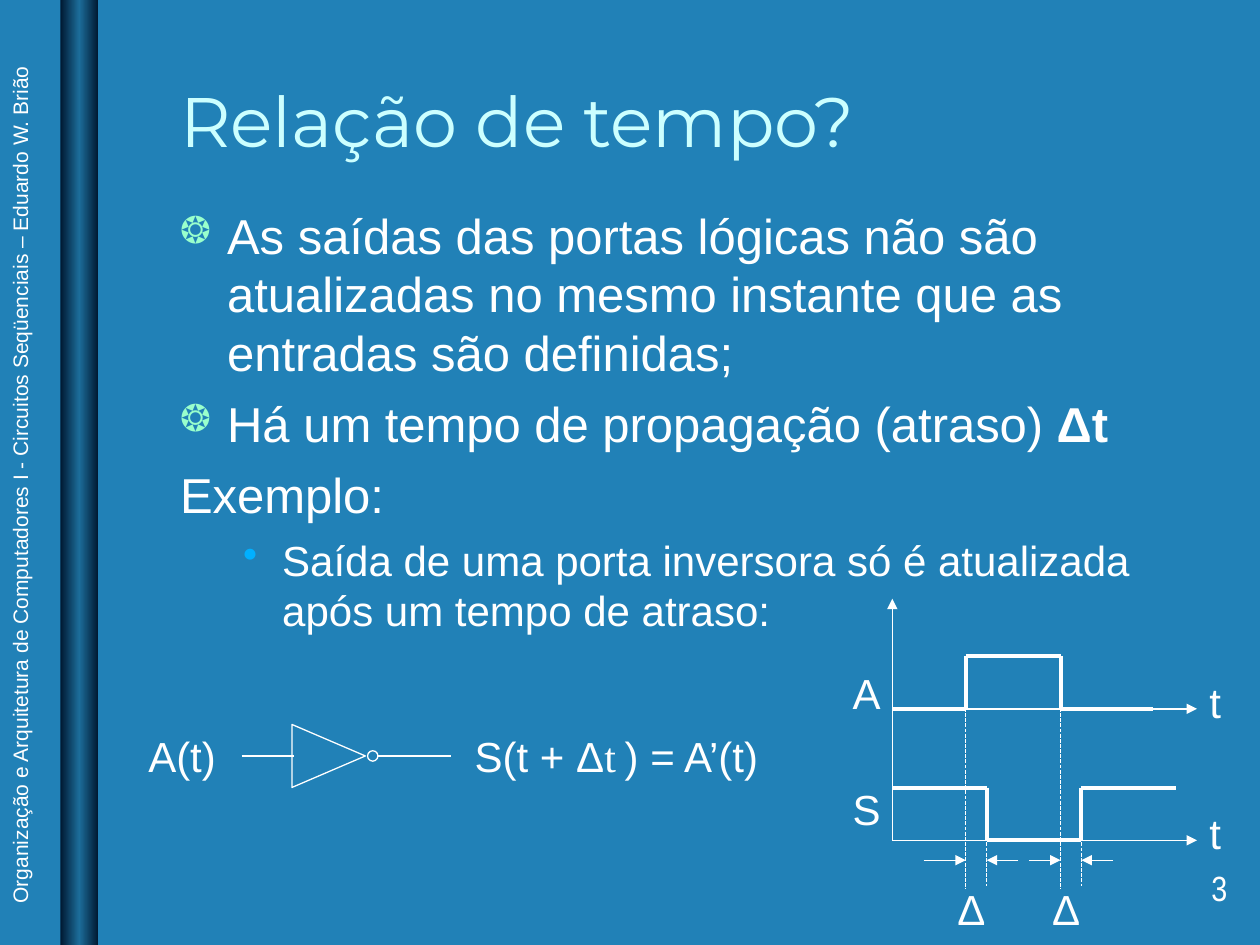
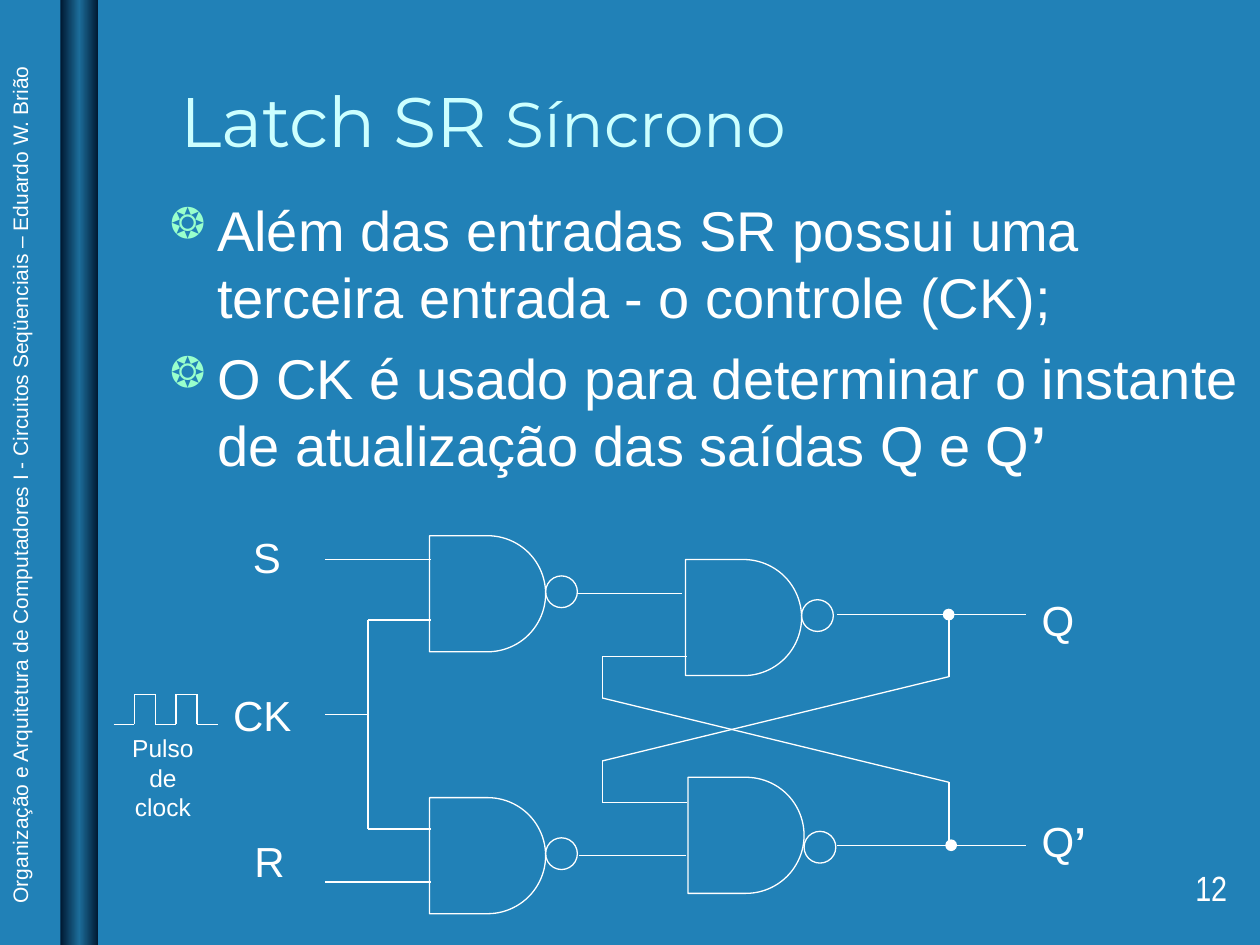
from copy import deepcopy
from itertools import pairwise

from lxml.etree import SubElement
from pptx import Presentation
from pptx.dml.color import RGBColor
from pptx.enum.dml import MSO_LINE
from pptx.enum.shapes import MSO_CONNECTOR, MSO_SHAPE
from pptx.enum.text import MSO_ANCHOR, PP_ALIGN
from pptx.oxml.ns import qn
from pptx.util import Cm, Pt

COLORS = {
    "background": "2181B7",
    "band_edge": "001932",
    "band_middle": "1C6D9A",
    "title": "CCFFFF",
    "text": "FFFFFF",
    "bullet": "99FFCC",
    "sub_bullet": "01B0FF",
}
COURSE = ("Organização e Arquitetura de Computadores I - "
          "Circuitos Seqüenciais – Eduardo W. Brião")
THIN, THICK = 0.75, 2.25
GATE, BUBBLE, DOT = 2.34, 0.64, 0.21


def rgb(name):
    return RGBColor.from_string(COLORS[name])


def write(paragraph, spans, size, color="text", font="Arial"):
    """Fill a paragraph; each span is a string or (string, settings that differ)."""
    for span in [spans] if isinstance(spans, str) else spans:
        words, changes = (span, {}) if isinstance(span, str) else span
        run = paragraph.add_run()
        run.text = words
        run.font.name = changes.get("font", font)
        run.font.size = Pt(changes.get("size", size))
        run.font.bold = changes.get("bold", False)
        run.font.color.rgb = rgb(color)


def add_box(page, left, top, width, height=1.27, wrap=True):
    box = page.shapes.add_textbox(Cm(left), Cm(top), Cm(width), Cm(height))
    box.text_frame.word_wrap = wrap
    return box


def add_label(page, spans, left, top, width, wrap=True, size=24):
    box = add_box(page, left, top, width, wrap=wrap)
    write(box.text_frame.paragraphs[0], spans, size)


def add_shape(page, kind, left, top, width, height, fill=None):
    shape = page.shapes.add_shape(kind, Cm(left), Cm(top), Cm(width), Cm(height))
    shape.shadow.inherit = False
    if fill:
        shape.fill.solid()
        shape.fill.fore_color.rgb = rgb(fill)
    else:
        shape.fill.background()
    shape.line.color.rgb = rgb("text")
    shape.line.width = Pt(THIN)
    return shape


def add_circle(page, left, top, size, fill=None):
    add_shape(page, MSO_SHAPE.OVAL, left, top, size, size, fill)


def add_wire(page, *points, width=THIN, dash=None, arrow=False):
    """Join the points one after another with straight lines."""
    for start, end in pairwise(points):
        line = page.shapes.add_connector(
            MSO_CONNECTOR.STRAIGHT, *map(Cm, start), *map(Cm, end))
        line.line.color.rgb = rgb("text")
        line.line.width = Pt(width)
        if dash:
            line.line.dash_style = dash
        if arrow:
            SubElement(line.line._get_or_add_ln(), qn("a:tailEnd"), type="triangle")
        SubElement(line._element.spPr, qn("a:effectLst"))


def add_nand(page, left, top, bubble_drop=0.81):
    add_shape(page, MSO_SHAPE.FLOWCHART_DELAY, left, top, GATE, GATE)
    add_circle(page, left + GATE, top + bubble_drop, BUBBLE)


def add_band(page, deck):
    band = add_shape(page, MSO_SHAPE.RECTANGLE, 1.22, 0, 0.76, 19.05)
    band.height = deck.slide_height
    band.line.fill.background()
    band.fill.gradient()
    band.fill.gradient_angle = 0
    stop_list = band._element.spPr.find(".//" + qn("a:gsLst"))
    stop_list.append(deepcopy(stop_list[0]))
    names = ("band_edge", "band_middle", "band_edge")
    for stop, name, position in zip(band.fill.gradient_stops, names, (0, 0.5, 1)):
        stop.color.rgb = rgb(name)
        stop.position = position


def add_page(deck, title, number):
    page = deck.slides.add_slide(deck.slide_layouts[6])
    page.background.fill.solid()
    page.background.fill.fore_color.rgb = rgb("background")
    add_band(page, deck)

    course = add_box(page, -8.31, 9.37, 17.42, 0.76, wrap=False)
    course.rotation = 270
    write(course.text_frame.paragraphs[0], COURSE, 12)

    heading = add_box(page, 3.38, 0.2, 21.59, 3.18)
    heading.text_frame.vertical_anchor = MSO_ANCHOR.BOTTOM
    write(heading.text_frame.paragraphs[0], title, 40, "title", "Montserrat")

    corner = add_box(page, 19.71, 17.35, 5.28).text_frame.paragraphs[0]
    corner.alignment = PP_ALIGN.RIGHT
    write(corner, str(number), 20, font="Arial Narrow")
    return page


def set_bullet(paragraph, symbol, color, percent, margin, hang):
    """Set the hanging indent and, when there is a symbol, its bullet."""
    properties = paragraph._p.get_or_add_pPr()
    properties.set("marL", str(Cm(margin)))
    properties.set("indent", str(-Cm(hang)))
    if not symbol:
        SubElement(properties, qn("a:buNone"))
        return
    tint = SubElement(properties, qn("a:buClr"))
    SubElement(tint, qn("a:srgbClr"), val=COLORS[color])
    SubElement(properties, qn("a:buSzPct"), val=str(percent * 1000))
    SubElement(properties, qn("a:buChar"), char=symbol)


def add_body(page, items, size, space, left, top, width, height):
    """Write items given as (style, spans), style being main, plain or sub."""
    styles = {
        "main": ("❂", "bullet", 75, 0.95, 0.95),
        "plain": (None, None, None, 0.95, 0.95),
        "sub": ("•", "sub_bullet", 100, 2.06, 0.79),
    }
    frame = add_box(page, left, top, width, height).text_frame
    for index, (style, spans) in enumerate(items):
        paragraph = frame.add_paragraph() if index else frame.paragraphs[0]
        is_sub = style == "sub"
        if index:
            paragraph.space_before = Pt(space - 1 if is_sub else space)
        paragraph.level = 1 if is_sub else 0
        set_bullet(paragraph, *styles[style])
        write(paragraph, spans, 24 if is_sub else size)


def add_inverter(page):
    middle = 15.24
    add_label(page, "A(t)", 2.74, 14.6, 2.34)
    add_wire(page, (4.87, middle), (5.93, middle))
    triangle = add_shape(page, MSO_SHAPE.ISOSCELES_TRIANGLE, 5.99, 14.5, 1.27, 1.48)
    triangle.rotation = 90
    add_circle(page, 7.41, middle - DOT / 2, DOT)
    add_wire(page, (7.62, middle), (9.1, middle))
    formula = ["S(t + Δ", ("t", {"font": "Times New Roman"}),
               (" ", {"font": "Times New Roman", "size": 20}), ") = A’(t)"]
    add_label(page, formula, 9.32, 14.6, 6.78)


def add_timing_chart(page):
    origin, axis_end = 17.99, 24.13
    input_low, input_high = 14.29, 13.23
    output_low, output_high = 16.94, 15.88
    rise, fall, delay = 19.47, 21.38, 0.42

    add_wire(page, (origin, output_low), (origin, 12.07), arrow=True)
    for name, low, name_top in (("A", input_low, 13.34), ("S", output_low, 15.67)):
        add_wire(page, (origin, low), (axis_end, low), arrow=True)
        add_label(page, name, 16.94, name_top, 0.84)
        add_label(page, "t", axis_end, low - 0.78, 0.84)

    add_wire(page, (origin, input_low), (rise, input_low), (rise, input_high),
             (fall, input_high), (fall, input_low), (23.24, input_low), width=THICK)
    add_wire(page, (origin, output_high), (rise + delay, output_high),
             (rise + delay, output_low), (fall + delay, output_low),
             (fall + delay, output_high), (23.7, output_high), width=THICK)

    for edge, arrow_length in ((rise, 0.85), (fall, 0.64)):
        settled = edge + delay
        add_wire(page, (edge, input_high), (edge, 17.93), dash=MSO_LINE.SQUARE_DOT)
        add_wire(page, (settled, 16.15), (settled, 17.86), dash=MSO_LINE.SQUARE_DOT)
        add_wire(page, (edge - arrow_length, 17.34), (edge, 17.34), arrow=True)
        add_wire(page, (settled + 0.64, 17.34), (settled, 17.34), arrow=True)
        add_label(page, "Δ", edge - 0.42, 17.68, 1.27)


def add_clock(page):
    start, step, low, high = 2.29, 0.42, 14.6, 14.0
    levels = (low, high, low, high, low)
    add_wire(page, *((start + step * (index + side), level)
                     for index, level in enumerate(levels) for side in (0, 1)))
    caption = add_box(page, 2.13, 14.66, 2.31, 1.45, wrap=False).text_frame
    for index, words in enumerate(("Pulso", "de clock")):
        paragraph = caption.add_paragraph() if index else caption.paragraphs[0]
        paragraph.alignment = PP_ALIGN.CENTER
        write(paragraph, words, 14)


def add_latch(page):
    pin, bus, clock_wire = 8.68, 7.42, 14.4
    near, far, q_pin = 12.14, 19.13, 13.84
    q_wire, q_bar_wire = 12.39, 17.04

    add_nand(page, 8.66, 10.8)
    add_nand(page, 8.66, 16.08)
    add_nand(page, 13.82, 11.28)
    add_nand(page, 13.87, 15.67, bubble_drop=1.09)

    for height in (11.28, 17.78):
        add_wire(page, (6.55, height), (pin, height))
    add_wire(page, (pin, 12.5), (bus, 12.5), (bus, 16.71), (pin, 16.71))
    add_wire(page, (6.55, clock_wire), (bus, clock_wire))
    add_wire(page, (11.63, 11.96), (13.74, 11.96))
    add_wire(page, (11.68, 17.25), (13.82, 17.25))

    for height, dot_left in ((q_wire, 19.02), (q_bar_wire, 19.07)):
        add_wire(page, (16.87, height), (20.68, height))
        add_circle(page, dot_left, height - DOT / 2, DOT, fill="text")
    add_wire(page, (far, q_wire), (far, 13.64), (near, 15.34),
             (near, 16.18), (q_pin, 16.18))
    add_wire(page, (far, q_bar_wire), (far, 15.77), (near, 14.07),
             (near, 13.23), (q_pin, 13.23))

    for spans, left, top, width in (
        ("S", 4.85, 10.59, 1.07),
        ("CK", 4.45, 13.77, 1.68),
        ("R", 4.88, 16.71, 1.12),
        ("Q", 20.75, 11.86, 1.17),
        (["Q", ("’", {"bold": True})], 20.75, 16.31, 1.4),
    ):
        add_label(page, spans, left, top, width, wrap=False)


def main():
    deck = Presentation()
    deck.slide_width, deck.slide_height = Cm(25.4), Cm(19.05)

    timing = add_page(deck, "Relação de tempo?", 3)
    add_body(timing, [
        ("main", "As saídas das portas lógicas não são atualizadas no mesmo "
                 "instante que as entradas são definidas;"),
        ("main", ["Há um tempo de propagação (atraso) ", ("Δt", {"bold": True})]),
        ("plain", "Exemplo:"),
        ("sub", "Saída de uma porta inversora só é atualizada após um tempo de atraso:"),
    ], 28, 7, 3.38, 4.01, 21.59, 12.9)
    add_inverter(timing)
    add_timing_chart(timing)

    latch = add_page(deck, ["Latch SR ", ("Síncrono", {"size": 36})], 12)
    add_body(latch, [
        ("main", "Além das entradas SR possui uma terceira entrada - o controle (CK);"),
        ("main", ["O CK é usado para determinar o instante de atualização "
                  "das saídas Q e Q", ("’", {"bold": True})]),
    ], 32, 8, 3.18, 3.81, 22.22, 11.43)
    add_latch(latch)
    add_clock(latch)

    deck.save("out.pptx")


if __name__ == "__main__":
    main()
